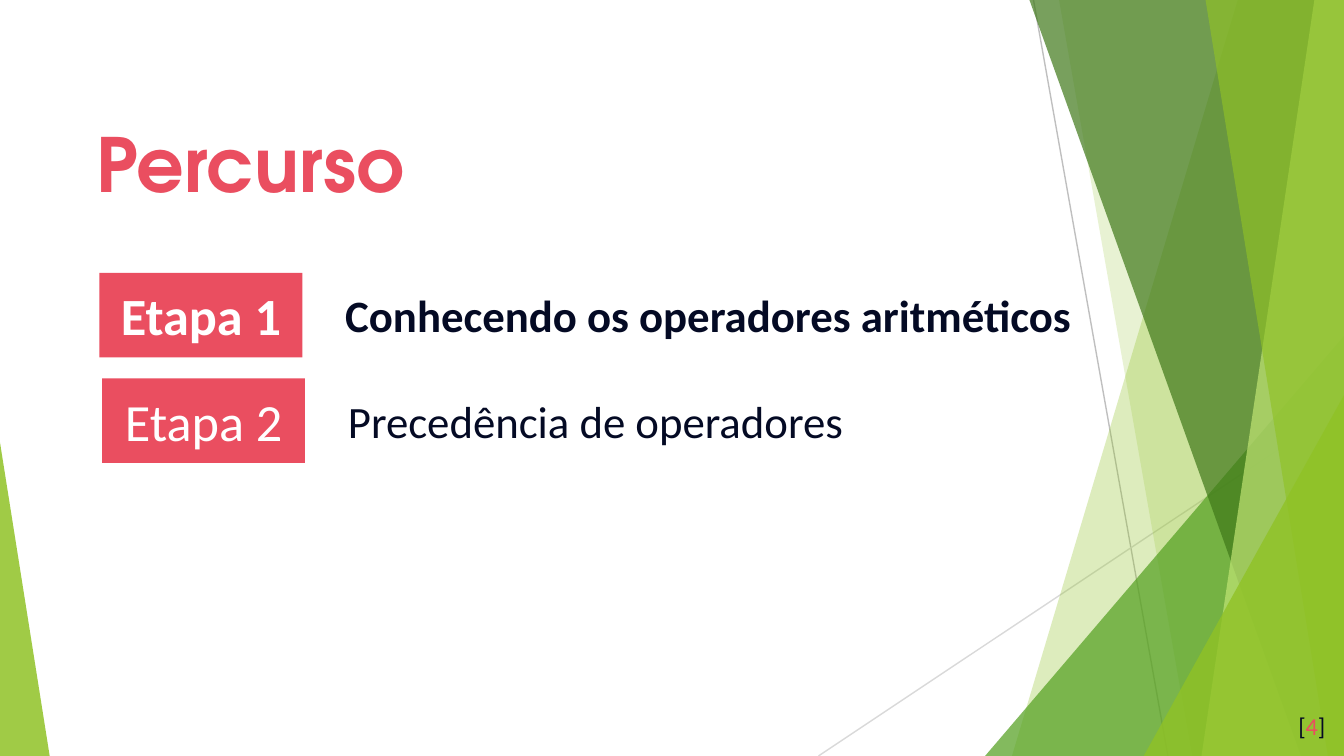
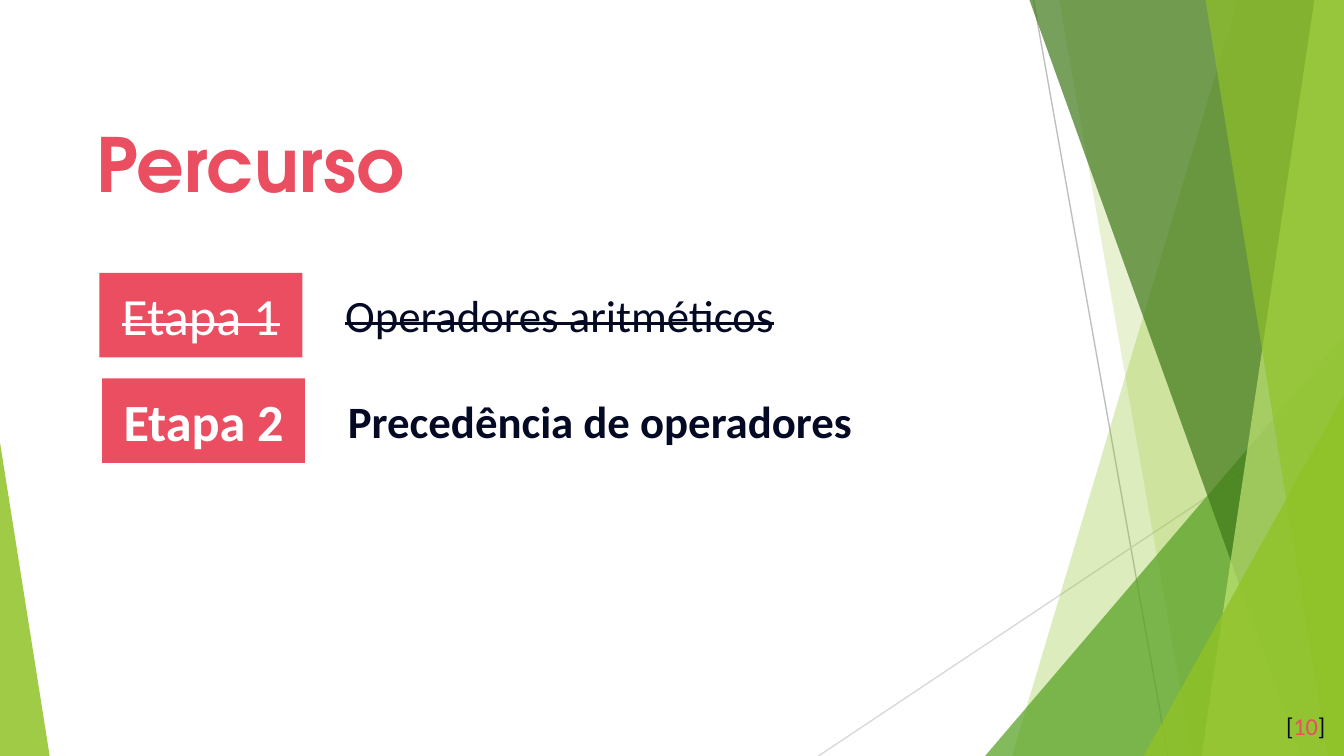
"""Build the two "Percurso" agenda slides over a shared backdrop of green facets."""
from lxml import etree
from pptx import Presentation
from pptx.dml.color import RGBColor
from pptx.enum.shapes import MSO_CONNECTOR, MSO_SHAPE
from pptx.enum.text import MSO_ANCHOR, PP_ALIGN
from pptx.oxml.ns import qn
from pptx.util import Inches, Pt

TRIANGLE, RECTANGLE = MSO_SHAPE.ISOSCELES_TRIANGLE, MSO_SHAPE.RECTANGLE
STRAIGHT = MSO_CONNECTOR.STRAIGHT
TOP, MIDDLE = MSO_ANCHOR.TOP, MSO_ANCHOR.MIDDLE
LEFT, CENTER, RIGHT = PP_ALIGN.LEFT, PP_ALIGN.CENTER, PP_ALIGN.RIGHT

CORAL = RGBColor(0xEA, 0x4E, 0x60)
NAVY = RGBColor(0x04, 0x0A, 0x24)
WHITE = RGBColor(0xFF, 0xFF, 0xFF)
LIME = RGBColor(0x90, 0xC2, 0x26)
GREEN = RGBColor(0x54, 0xA0, 0x21)
FOREST = RGBColor(0x3F, 0x78, 0x19)
PALE_LIME = RGBColor(0xC0, 0xE4, 0x74)
GREY = RGBColor(0xBF, 0xBF, 0xBF)
LIGHT_GREY = RGBColor(0xD9, 0xD9, 0xD9)

TITLE_FONT, BODY_FONT = "TeX Gyre Adventor", "Calibri"
WIDTH, HEIGHT = 10, 5.625

RAYS = [(7.69, 0, 8.69, HEIGHT, GREY), (WIDTH, 3.02, 6.09, HEIGHT, LIGHT_GREY)]
FACETS = [
    ("band", 9.21, 7.53, LIME, 30),
    ("band", 7.88, 8.87, LIME, 20),
    ("corner", 7.33, 2.5, GREEN, 72),
    ("band", 7.66, 9.68, FOREST, 70),
    ("band", 9.78, 8.94, PALE_LIME, 70),
    ("band", 8.97, 9.88, LIME, 65),
    ("corner", 8.51, 2.94, LIME, 80),
    ("left corner", 0, 3.29, LIME, 85),
]
LEFT_CORNER_WIDTH = 0.37

STAGE_LEFT, STAGE_TOP = 0.74, 2.03
STAGE_STEP_X, STAGE_STEP_Y = 0.02, 0.785
LABEL_OFFSET_X, LABEL_OFFSET_Y = 1.73, 0.065
PLAIN, CURRENT, DONE = "plain", "current", "done"

PAGES = [
    ("4", [("Conhecendo os operadores aritméticos", CURRENT),
           ("Precedência de operadores", PLAIN)]),
    ("10", [("Operadores aritméticos", DONE),
            ("Precedência de operadores", CURRENT)]),
]


def paint(shape, color, opacity=100):
    shape.shadow.inherit = False
    shape.line.fill.background()
    shape.fill.solid()
    shape.fill.fore_color.rgb = color
    if opacity < 100:
        tint = shape.fill._xPr.find(qn("a:solidFill"))[0]
        etree.SubElement(tint, qn("a:alpha")).set("val", str(opacity * 1000))


def write(box, spans, size, font=BODY_FONT, state=PLAIN, align=LEFT, anchor=MIDDLE, inset=0.1):
    frame = box.text_frame
    frame.word_wrap = True
    frame.vertical_anchor = anchor
    frame.margin_left = frame.margin_right = Inches(0.1)
    frame.margin_top = frame.margin_bottom = Inches(inset)
    para = frame.paragraphs[0]
    para.alignment = align
    para.font.name, para.font.size = font, Pt(size)
    para.font.bold = state == CURRENT
    for text, color in spans:
        span = para.add_run()
        span.text = text
        span.font.color.rgb = color
        if state == DONE:
            span.font._element.set("strike", "sngStrike")
    return para


deck = Presentation()
deck.slide_width, deck.slide_height = Inches(WIDTH), Inches(HEIGHT)

for number, stages in PAGES:
    page = deck.slides.add_slide(deck.slide_layouts[6])
    shapes = page.shapes

    for x1, y1, x2, y2, color in RAYS:
        ray = shapes.add_connector(STRAIGHT, Inches(x1), Inches(y1), Inches(x2), Inches(y2))
        ray.line.color.rgb, ray.line.width = color, Pt(0.75)
        etree.SubElement(ray._element.spPr, qn("a:effectLst"))

    for kind, first, second, color, opacity in FACETS:
        if kind == "band":
            outline = shapes.build_freeform(Inches(first), 0)
            corners = [(WIDTH, 0), (WIDTH, HEIGHT), (second, HEIGHT)]
            outline.add_line_segments([(Inches(x), Inches(y)) for x, y in corners])
            facet = outline.convert_to_shape()
        else:
            width = WIDTH - first if kind == "corner" else LEFT_CORNER_WIDTH
            facet = shapes.add_shape(TRIANGLE, Inches(first), Inches(second),
                                     Inches(width), Inches(HEIGHT - second))
            facet.adjustments[0] = 1 if kind == "corner" else 0
        paint(facet, color, opacity)

    title = shapes.add_textbox(Inches(0.62), Inches(0.7), Inches(8.1), Inches(0.92))
    write(title, [("Percurso", CORAL)], 40, TITLE_FONT, CURRENT).line_spacing = 1.15

    for index, (topic, state) in enumerate(stages):
        left = STAGE_LEFT + index * STAGE_STEP_X
        top = STAGE_TOP + index * STAGE_STEP_Y
        badge = shapes.add_shape(RECTANGLE, Inches(left), Inches(top), Inches(1.51), Inches(0.63))
        paint(badge, CORAL)
        write(badge, [(f"Etapa {index + 1}", WHITE)], 28, state=state, align=CENTER)
        label = shapes.add_textbox(Inches(left + LABEL_OFFSET_X), Inches(top + LABEL_OFFSET_Y),
                                   Inches(6.75), Inches(0.5))
        write(label, [(topic, NAVY)], 24, state=state, anchor=TOP, inset=0.05)

    folio = shapes.add_textbox(Inches(9.36), Inches(5.19), Inches(0.6), Inches(0.43))
    write(folio, [("[", NAVY), (number, CORAL), ("]", NAVY)], 13, align=RIGHT, anchor=TOP)

deck.save("out.pptx")
